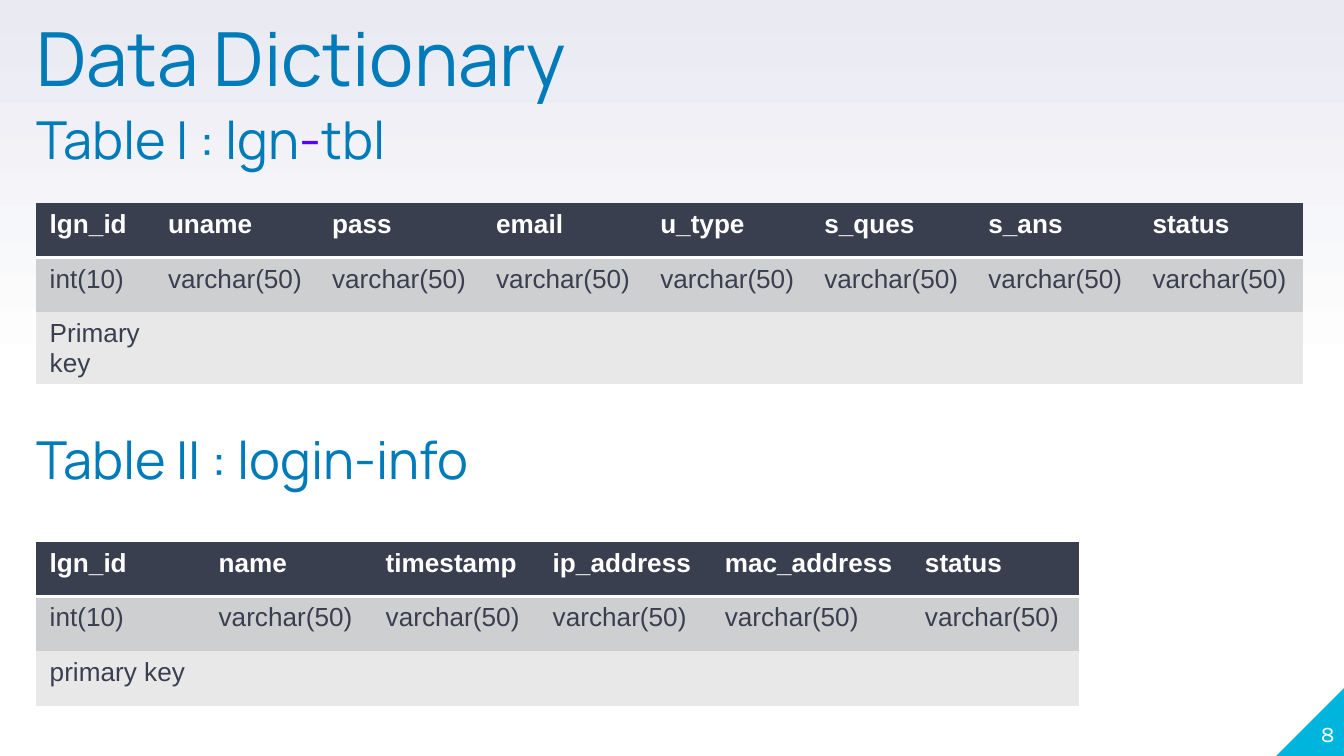
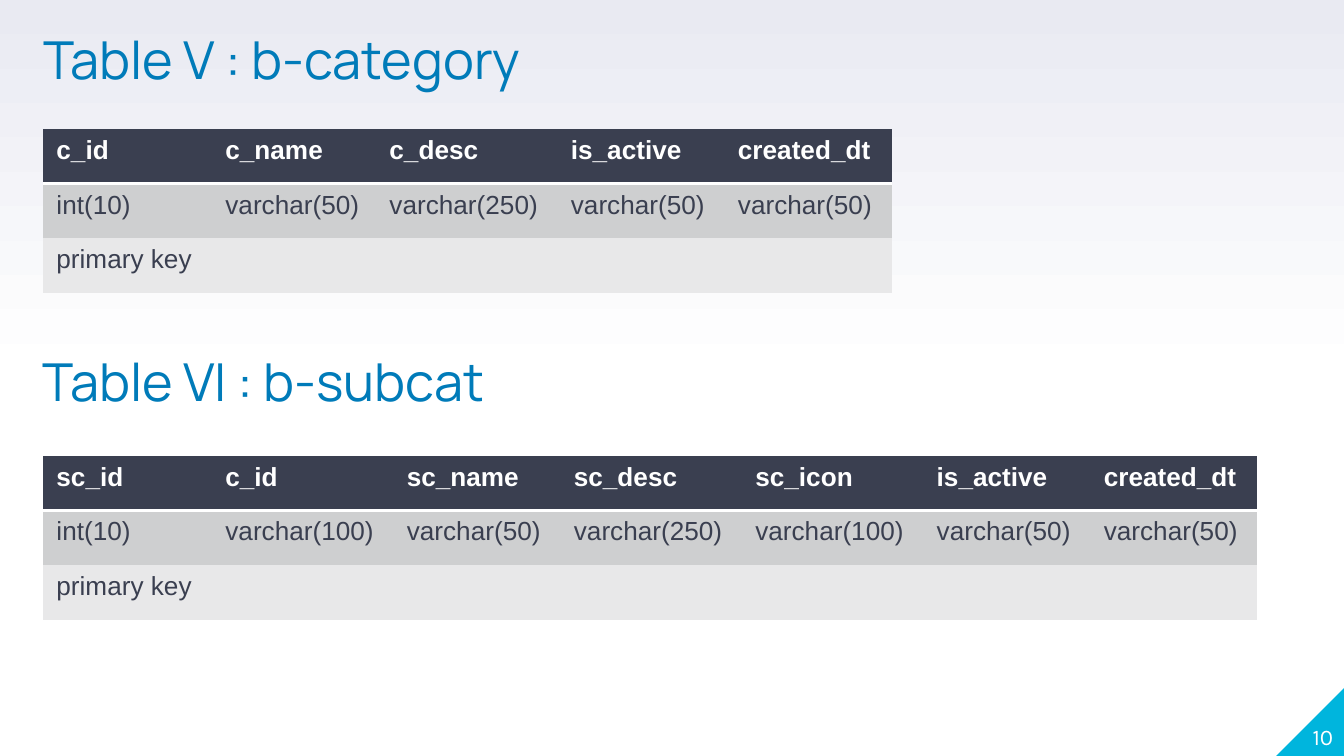
from copy import deepcopy

from lxml.etree import SubElement
from pptx import Presentation
from pptx.dml.color import RGBColor
from pptx.enum.shapes import MSO_SHAPE as Shape
from pptx.enum.text import MSO_ANCHOR as Anchor, MSO_AUTO_SIZE as AutoSize, PP_ALIGN as Align
from pptx.oxml.ns import qn
from pptx.util import Inches, Pt

# Shared look
COLORS = {
    "title": "007BB9", "accent": "5600FB", "corner": "00B5DD", "white": "FFFFFF",
    "sky": "E9EAF2", "header": "3A3F50", "types": "CECFD0", "keys": "E8E8E9",
}
TITLE_FONT, NUMBER_FONT, TABLE_FONT = "Manrope", "Karla", "Arial"
NO_GRID_STYLE = "{2D5ABB26-0587-4C30-8999-92F81FD0307C}"

# Grid: the slide is 100 columns wide and 56.25 rows high
UNIT = Inches(0.1)
COLUMNS, ROWS = 100, 56.25
ROW_HEIGHT = 4.07
CORNER = 5.05

# Column widths by the longest type they hold
KEY, CHAR50, CHAR100 = 12.57, 12.43, 13.5


def grid(*lengths):
    return [round(length * UNIT) for length in lengths]


def color(name):
    return RGBColor.from_string(COLORS[name])


def write(frame, text, *, font, size, ink, bold=False, align=Align.LEFT,
          spacing=None, marked=None):
    """Write one paragraph; the part equal to `marked` takes the accent colour."""
    para = frame.paragraphs[0]
    para.alignment = align
    if spacing:
        para.line_spacing = spacing
    before, mark, after = text.partition(marked) if marked else (text, "", "")
    for part, part_ink in ((before, ink), (mark, "accent"), (after, ink)):
        if part:
            span = para.add_run()
            span.text = part
            span.font.name, span.font.size = font, Pt(size)
            span.font.bold = bold
            span.font.color.rgb = color(part_ink)


def bare_frame(box, anchor=Anchor.TOP):
    frame = box.text_frame
    frame.word_wrap = True
    frame.auto_size = AutoSize.NONE
    frame.vertical_anchor = anchor
    frame.margin_left = frame.margin_top = frame.margin_right = frame.margin_bottom = 0
    return frame


def style_master(deck):
    """Give every slide the sky gradient."""
    fill = deck.slide_master.background.fill
    fill.gradient()
    fill.gradient_angle = 90
    for stop, position, name in zip(fill.gradient_stops, (0, 1), ("white", "sky")):
        stop.position = position
        stop.color.rgb = color(name)
    first = deck.slide_master.element.find(".//" + qn("p:bg")).find(".//" + qn("a:gs"))
    middle = deepcopy(first)
    middle.set("pos", "50000")
    first.addnext(middle)


def add_corner(page, number, left, top):
    """Draw the corner triangle and the page number on it."""
    corner = page.shapes.add_shape(
        Shape.RIGHT_TRIANGLE, *grid(COLUMNS - CORNER, ROWS - CORNER, CORNER, CORNER))
    corner.element.spPr.find(qn("a:xfrm")).set("flipH", "1")
    corner.shadow.inherit = False
    corner.fill.solid()
    corner.fill.fore_color.rgb = color("corner")
    corner.line.fill.background()
    box = page.shapes.add_textbox(*grid(left, top, 5, 5.1))
    write(bare_frame(box, Anchor.BOTTOM), number, font=NUMBER_FONT, size=12,
          ink="white", align=Align.RIGHT)


def add_heading(page, text, left, top, width, *, height=4.8, size=28,
                as_title=False, marked=None):
    if as_title:
        box = page.shapes.title
        box.left, box.top, box.width, box.height = grid(left, top, width, height)
    else:
        box = page.shapes.add_textbox(*grid(left, top, width, height))
    write(bare_frame(box), text, font=TITLE_FONT, size=size, ink="title",
          spacing=0.8, marked=marked)


def underline(cell):
    """Put a white rule under a header cell."""
    rule = cell._tc.get_or_add_tcPr().makeelement(qn("a:lnB"), {"w": str(Pt(2))})
    fill = SubElement(rule, qn("a:solidFill"))
    SubElement(fill, qn("a:srgbClr"), val=COLORS["white"])
    cell._tc.tcPr.insert(0, rule)


def add_fields(page, left, top, fields, key="primary key"):
    """Tabulate fields given as (name, type, width); the first is the key."""
    names, types, widths = zip(*fields)
    rows = [names, types, [key] + [""] * (len(fields) - 1)]
    frame = page.shapes.add_table(
        len(rows), len(fields), *grid(left, top, sum(widths), ROW_HEIGHT * len(rows)))
    table = frame.table
    table._tbl.tblPr.find(qn("a:tableStyleId")).text = NO_GRID_STYLE
    for column, width in zip(table.columns, widths):
        column.width = grid(width)[0]
    for row, texts, shade in zip(table.rows, rows, ("header", "types", "keys")):
        row.height = grid(ROW_HEIGHT)[0]
        header = shade == "header"
        for cell, text in zip(row.cells, texts):
            cell.fill.solid()
            cell.fill.fore_color.rgb = color(shade)
            write(cell.text_frame, text, font=TABLE_FONT, size=14, bold=header,
                  ink="white" if header else "header")
            if header:
                underline(cell)


def add_login_page(deck, layout):
    page = deck.slides.add_slide(layout)
    left = 2.7
    add_corner(page, "8", 94.3, 50.5)
    add_heading(page, "Data Dictionary", left, 2.2, 77.8, height=9.1, size=40, as_title=True)

    add_heading(page, "Table I : lgn-tbl", left, 8.9, 32.4, marked="-")
    plain = ("uname", "pass", "email", "u_type", "s_ques", "s_ans", "status")
    add_fields(page, left, 15.1, [("lgn_id", "int(10)", 8.8)]
               + [(name, "varchar(50)", 12.21) for name in plain], key="Primary key")

    add_heading(page, "Table II : login-info", left, 32.7, 49.6)
    add_fields(page, left, 40.3, [
        ("lgn_id", "int(10)", KEY),
        ("name", "varchar(50)", CHAR50),
        ("timestamp", "varchar(50)", CHAR50),
        ("ip_address", "varchar(50)", 12.8),
        ("mac_address", "varchar(50)", 14.9),
        ("status", "varchar(50)", CHAR50),
    ])


def add_category_page(deck, layout):
    page = deck.slides.add_slide(layout)
    left = 3.2
    add_corner(page, "10", 94.2, 50.7)
    add_heading(page, "Table V : b-category", left, 2.9, 50.3, as_title=True)
    add_fields(page, left, 9.6, [
        ("c_id", "int(10)", KEY),
        ("c_name", "varchar(50)", 12.21),
        ("c_desc", "varchar(250)", CHAR100),
        ("is_active", "varchar(50)", CHAR50),
        ("created_dt", "varchar(50)", CHAR50),
    ])

    add_heading(page, "Table VI : b-subcat", left, 26.9, 50.3)
    add_fields(page, left, 33.9, [
        ("sc_id", "int(10)", KEY),
        ("c_id", "varchar(100)", CHAR100),
        ("sc_name", "varchar(50)", CHAR50),
        ("sc_desc", "varchar(250)", CHAR100),
        ("sc_icon", "varchar(100)", CHAR100),
        ("is_active", "varchar(50)", CHAR50),
        ("created_dt", "varchar(50)", CHAR50),
    ])


def main():
    deck = Presentation()
    deck.slide_width, deck.slide_height = grid(COLUMNS, ROWS)
    style_master(deck)
    title_only = deck.slide_layouts[5]
    add_login_page(deck, title_only)
    add_category_page(deck, title_only)
    deck.save("out.pptx")


if __name__ == "__main__":
    main()
